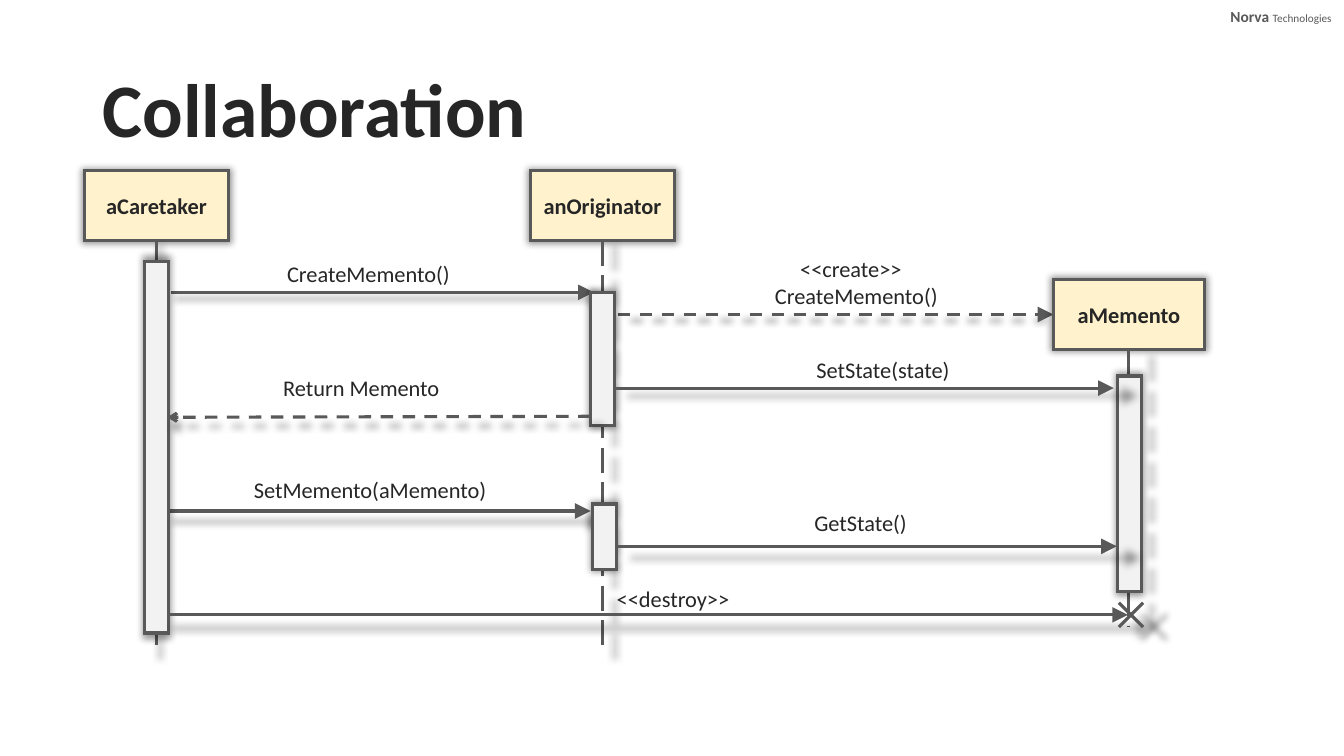
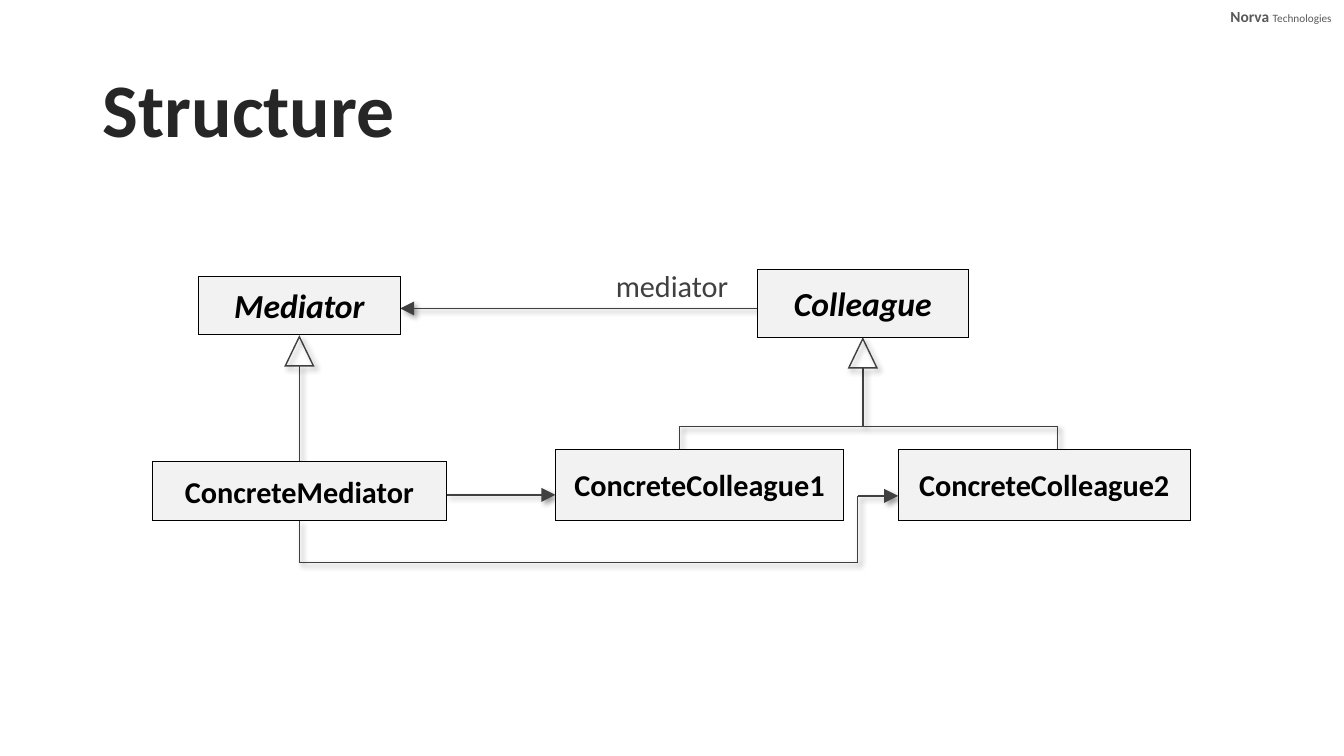
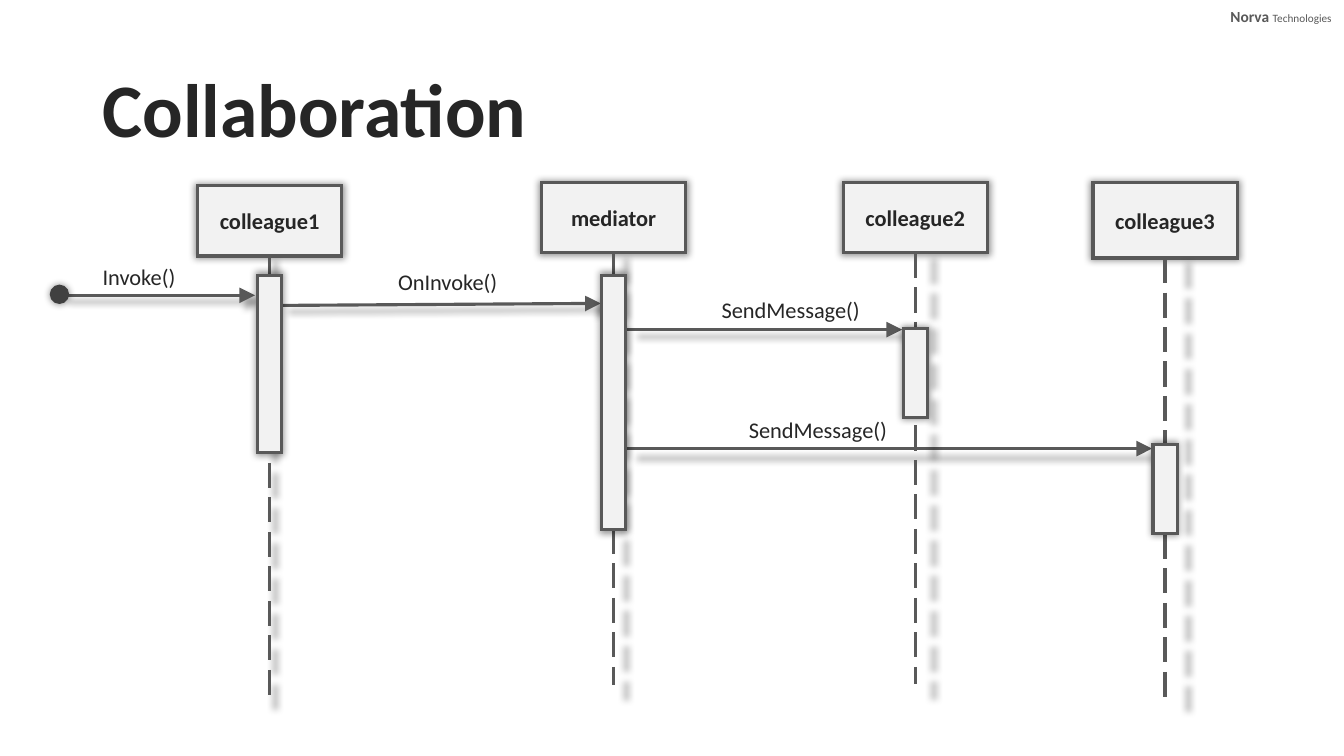
import dataclasses

import lxml.etree
import pptx
import pptx.dml.color
import pptx.enum.dml
import pptx.enum.shapes
import pptx.enum.text
import pptx.oxml.ns
import pptx.util

Shape = pptx.enum.shapes.MSO_SHAPE
Dash = pptx.enum.dml.MSO_LINE
Align = pptx.enum.text.PP_ALIGN
Anchor = pptx.enum.text.MSO_ANCHOR
Fit = pptx.enum.text.MSO_AUTO_SIZE


@dataclasses.dataclass(frozen=True)
class Theme:
    """Colours, type sizes, line widths and shadows."""
    font: str = "Calibri"
    ink: str = "262626"
    black: str = "000000"
    stroke: str = "595959"
    thin_stroke: str = "404040"
    grey: str = "F2F2F2"
    cream: str = "FFF2CC"
    title_size: float = 54
    abstract_size: float = 24
    class_size: float = 21.6
    label_size: float = 16
    header_size: float = 11
    header_small_size: float = 8
    thick: float = 2.25
    thin: float = 1
    hairline: float = 0.5
    glow: tuple = (("blurRad", 63500), ("sx", 102000), ("sy", 102000), ("algn", "ctr"))
    drop: tuple = (("blurRad", 50800), ("dist", 38100), ("dir", 2700000), ("algn", "tl"))


def colour(code):
    """Turn a hex code into a colour."""
    return pptx.dml.color.RGBColor.from_string(code)


def add_node(parent, tag, **attributes):
    """Append a DrawingML element."""
    name = pptx.oxml.ns.qn("a:" + tag)
    return lxml.etree.SubElement(parent, name, {key: str(value) for key, value in attributes.items()})


class DiagramDeck:
    """A deck of UML diagrams on a grid of 160 columns by 90 rows."""

    columns, rows = 160, 90
    head_width, head_height = 17.16, 8.4
    bar_width = 2.88
    label_height = 4.44
    triangle_width, triangle_height = 3.36, 3.48

    def __init__(self, theme):
        """Start an empty widescreen deck."""
        self.theme = theme
        self.deck = pptx.Presentation()
        self.deck.slide_width = pptx.util.Inches(13.33)
        self.deck.slide_height = pptx.util.Inches(7.5)
        self.page = None

    def spot(self, column, row):
        """Convert grid columns and rows to lengths."""
        return (round(column * self.deck.slide_width / self.columns),
                round(row * self.deck.slide_height / self.rows))

    def frame(self, left, top, width, height):
        """Convert a grid rectangle to lengths."""
        return self.spot(left, top) + self.spot(width, height)

    def style_font(self, font, size, ink, bold=False, italic=False):
        """Set the face, size and colour of a font."""
        font.name, font.size = self.theme.font, pptx.util.Pt(size)
        font.bold, font.italic = bold, italic
        font.color.rgb = colour(ink)

    def style_line(self, shape, ink, weight, shadow=(), dash=None, head=None):
        """Set the outline, arrowhead and shadow of a shape."""
        shape.line.color.rgb = colour(ink)
        shape.line.width = pptx.util.Pt(weight)
        if dash:
            shape.line.dash_style = dash
        properties = shape.element.spPr
        outline = properties.find(pptx.oxml.ns.qn("a:ln"))
        add_node(outline, "miter", lim=800000)
        if head:
            size = "lg" if head == "triangle" else "med"
            add_node(outline, "tailEnd", type=head, w=size, len=size)
        effects = add_node(properties, "effectLst")
        if shadow:
            cast = add_node(effects, "outerShdw", **dict(shadow), rotWithShape=0)
            add_node(add_node(cast, "prstClr", val="black"), "alpha", val=40000)

    def new_page(self, title):
        """Add a titled page with the shared header text."""
        self.page = self.deck.slides.add_slide(self.deck.slide_layouts[5])
        holder = self.page.shapes.title
        holder.left, holder.top, holder.width, holder.height = self.frame(11.04, 4.8, 138, 17.4)
        text = holder.text_frame
        text.text, text.word_wrap, text.auto_size = title, True, Fit.NONE
        text.vertical_anchor = Anchor.MIDDLE
        para = text.paragraphs[0]
        para.alignment, para.line_spacing = Align.LEFT, 0.9
        self.style_font(para.font, self.theme.title_size, self.theme.ink, bold=True)
        self.header()

    def header(self):
        """Add the plain company name."""
        text = self.page.shapes.add_textbox(*self.frame(143.76, 0.12, 15.96, 3.6)).text_frame
        text.word_wrap, text.vertical_anchor = True, Anchor.MIDDLE
        para = text.paragraphs[0]
        para.alignment = Align.RIGHT
        for words, size, bold in (("Norva ", self.theme.header_size, True),
                                  ("Technologies", self.theme.header_small_size, False)):
            span = para.add_run()
            span.text = words
            self.style_font(span.font, size, self.theme.stroke, bold)

    def shape(self, kind, place, fill, ink, weight, shadow=()):
        """Add a preset shape; a fill of None leaves it open."""
        box = self.page.shapes.add_shape(kind, *self.frame(*place))
        if fill:
            box.fill.solid()
            box.fill.fore_color.rgb = colour(fill)
        else:
            box.fill.background()
        self.style_line(box, ink, weight, shadow)
        return box

    def caption(self, box, words, size, ink, italic=False):
        """Centre bold words in a box."""
        text = box.text_frame
        text.text, text.word_wrap, text.vertical_anchor = words, True, Anchor.MIDDLE
        para = text.paragraphs[0]
        para.alignment = Align.CENTER
        self.style_font(para.font, size, ink, True, italic)

    def line(self, start, end, ink, weight, shadow, dash=None, head=None):
        """Add a straight connector."""
        straight = pptx.enum.shapes.MSO_CONNECTOR.STRAIGHT
        link = self.page.shapes.add_connector(straight, *self.spot(*start), *self.spot(*end))
        self.style_line(link, ink, weight, shadow, dash, head)

    def message(self, start, end, dash=None, head="triangle"):
        """Add a thick line of a sequence diagram."""
        self.line(start, end, self.theme.stroke, self.theme.thick, self.theme.glow, dash, head)

    def calls(self, *spans):
        """Add level messages given as start column, end column and row."""
        for start, end, row in spans:
            self.message((start, row), (end, row))

    def relation(self, *points, head=None):
        """Join points with thin lines, the last one ending in the head."""
        for index, (start, end) in enumerate(zip(points, points[1:]), 2):
            self.line(start, end, self.theme.thin_stroke, self.theme.thin, self.theme.drop,
                      head=head if index == len(points) else None)

    def label(self, words, left, top, width, size=None, ink=None, height=None, wrap=False):
        """Add plain text beside a line."""
        place = self.frame(left, top, width, height or self.label_height)
        text = self.page.shapes.add_textbox(*place).text_frame
        text.text, text.word_wrap, text.auto_size = words, wrap, Fit.SHAPE_TO_FIT_TEXT
        self.style_font(text.paragraphs[0].font, size or self.theme.label_size, ink or self.theme.ink)

    def participant(self, name, center, top, bottom, fill, width=head_width, height=head_height):
        """Add an object head with its lifeline."""
        place = (center - width / 2, top, width, height)
        head = self.shape(Shape.RECTANGLE, place, fill, self.theme.stroke,
                          self.theme.thick, self.theme.glow)
        self.caption(head, name, self.theme.label_size, self.theme.ink)
        self.message((center, top + height), (center, bottom), Dash.LONG_DASH, None)

    def activation(self, center, top, bottom):
        """Add an activation bar on a lifeline."""
        place = (center - self.bar_width / 2, top, self.bar_width, bottom - top)
        self.shape(Shape.RECTANGLE, place, self.theme.grey, self.theme.stroke,
                   self.theme.thick, self.theme.glow)

    def cross(self, column, row, reach):
        """Add the mark that ends a lifeline."""
        for rise in (-reach, reach):
            self.message((column - reach, row - rise), (column + reach, row + rise), head=None)

    def class_box(self, name, *place, abstract=False):
        """Add a class of a structure diagram."""
        theme = self.theme
        box = self.shape(Shape.RECTANGLE, place, theme.grey, theme.black, theme.hairline)
        size = theme.abstract_size if abstract else theme.class_size
        self.caption(box, name, size, theme.black, abstract)

    def inheritance(self, center, top, bottom):
        """Add an open triangle with its stem."""
        base = top + self.triangle_height
        self.relation((center, base), (center, bottom))
        place = (center - self.triangle_width / 2, top, self.triangle_width, self.triangle_height)
        self.shape(Shape.ISOSCELES_TRIANGLE, place, None, self.theme.thin_stroke,
                   self.theme.thin, self.theme.drop)


def memento_collaboration(deck):
    """Build the memento sequence diagram."""
    deck.new_page("Collaboration")
    caretaker, originator, memento = 18.63, 71.73, 134.4
    cream = deck.theme.cream
    deck.calls((20.4, 70.68, 34.8), (20.16, 70.32, 60.84))
    deck.message((73.56, 37.44), (125.4, 37.44), Dash.DASH)
    deck.participant("aCaretaker", caretaker, 20.28, 77.64, cream)
    deck.participant("anOriginator", originator, 20.28, 77.64, cream)
    deck.participant("aMemento", memento, 33.24, 74.52, cream, width=18)
    for center, top, bottom in ((caretaker, 31.08, 75.36), (originator, 34.8, 50.64),
                                (originator + 0.24, 60, 67.8), (memento + 0.1, 44.76, 70.44)):
        deck.activation(center, top, bottom)
    deck.calls((73.2, 132.6, 46.2), (73.56, 132.96, 65.04), (20.04, 134.28, 73.2))
    deck.message((70.32, 49.56), (19.92, 49.68), Dash.DASH, "arrow")
    deck.cross(134.64, 73.2, 1.44)
    for label in (("CreateMemento()", 33, 30.36, 22.08), ("<<create>>", 94.08, 29.76, 14.64),
                  ("CreateMemento()", 91.08, 33, 22.08), ("SetState(state)", 96, 41.76, 18.48),
                  ("Return Memento", 32.52, 43.92, 21.24),
                  ("SetMemento(aMemento)", 29.04, 56.04, 30.48),
                  ("GetState()", 95.76, 60, 13.56), ("<<destroy>>", 72.24, 69.12, 16.08)):
        deck.label(*label)


def mediator_structure(deck):
    """Build the mediator class diagram."""
    deck.new_page("Structure")
    mediator, colleague, elbow = 35.64, 102.72, 102.12
    branch, floor = 50.76, 66.96
    deck.inheritance(mediator, 40.08, 54.96)
    deck.inheritance(colleague, 40.32, branch)
    deck.relation((80.88, 53.52), (80.88, branch), (125.88, branch), (125.88, 53.52))
    deck.relation((53.16, 58.92), (66.12, 58.92), head="triangle")
    deck.relation((mediator, 62), (mediator, floor), (elbow, floor), (elbow, 59.04),
                  (106.92, 59.04), head="triangle")
    deck.relation((90.12, 36.72), (47.64, 36.72), head="triangle")
    deck.class_box("Mediator", 23.64, 32.88, 24, 6.96, abstract=True)
    deck.class_box("Colleague", 90.12, 32.04, 25.2, 8.16, abstract=True)
    deck.class_box("ConcreteMediator", 18.12, 54.96, 35.04, 6.96)
    deck.class_box("ConcreteColleague1", 66.12, 53.52, 34.32, 8.4)
    deck.class_box("ConcreteColleague2", 106.92, 53.52, 34.8, 8.4)
    deck.label("mediator", 72.12, 31.2, 19.2, deck.theme.class_size, deck.theme.thin_stroke,
               height=5.52, wrap=True)


def mediator_collaboration(deck):
    """Build the mediator sequence diagram."""
    deck.new_page("Collaboration")
    deck.calls((8.04, 30.36, 35.16), (74.4, 107.4, 39.24), (74.4, 137.16, 53.4))
    deck.message((33.72, 36.36), (71.52, 36.12))
    for name, center, top, bottom, height, start, end in (
            ("colleague1", 32.1, 22.08, 83.28, 8.4, 32.76, 53.88),
            ("mediator", 73.05, 21.72, 81.6, 8.4, 32.76, 63),
            ("colleague2", 108.95, 21.72, 81.48, 8.4, 39.12, 49.68),
            ("colleague3", 138.7, 21.72, 83.28, 9, 52.92, 63.48)):
        deck.participant(name, center, top, bottom, deck.theme.grey, height=height)
        deck.activation(center, start, end)
    dot = deck.theme.thin_stroke
    deck.shape(Shape.OVAL, (6.12, 34.08, 1.92, 1.92), dot, dot, deck.theme.thick, deck.theme.glow)
    for label in (("Invoke()", 11.04, 30.72, 11.16), ("OnInvoke()", 46.2, 31.32, 14.4),
                  ("SendMessage()", 84.72, 34.68, 19.08), ("SendMessage()", 87.96, 48.96, 19.08)):
        deck.label(*label)


def main():
    """Build and save the deck."""
    builder = DiagramDeck(Theme())
    memento_collaboration(builder)
    mediator_structure(builder)
    mediator_collaboration(builder)
    builder.deck.save("out.pptx")


if __name__ == "__main__":
    main()
